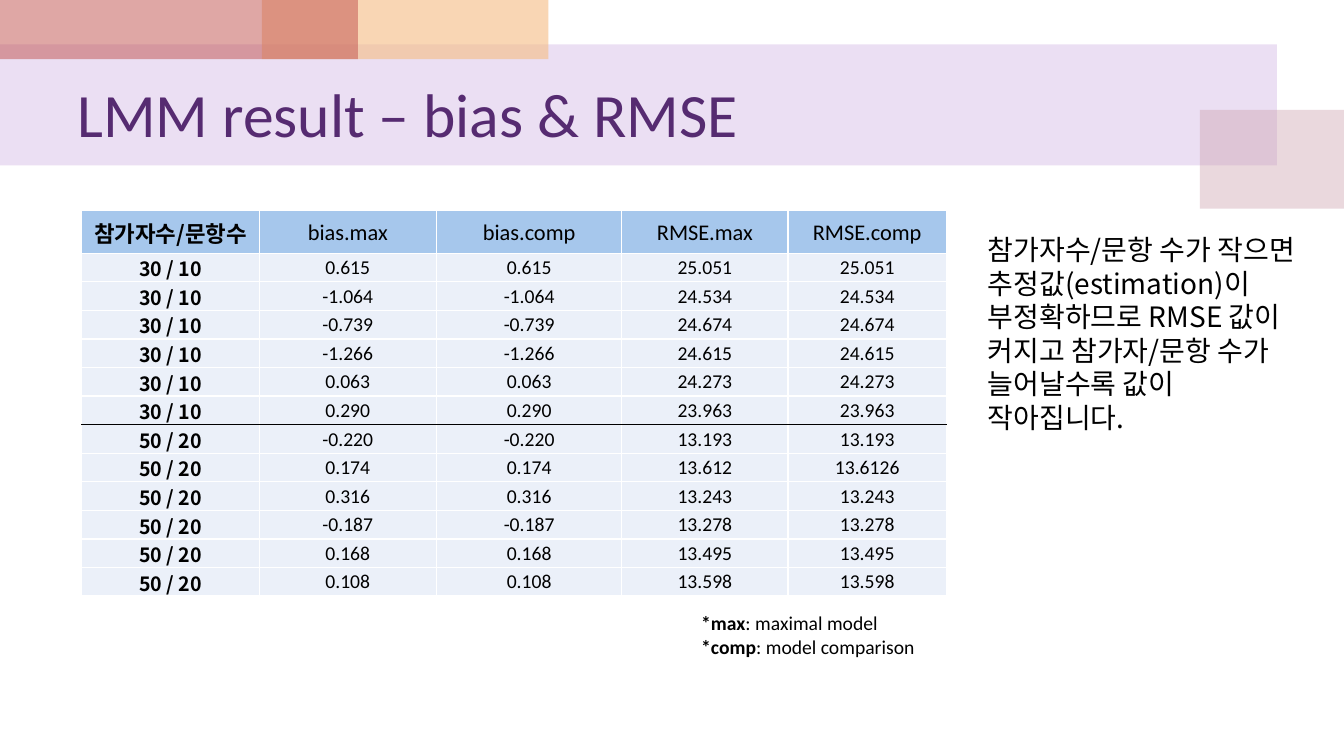
from lxml import etree
from pptx import Presentation
from pptx.dml.color import RGBColor
from pptx.enum import shapes, text
from pptx.oxml.ns import qn
from pptx.util import Cm, Pt

LATIN, KOREAN = "Calibri", "Noto Sans CJK KR"
COLOURS = {
    "band": "BF98D8", "rose": "CC9EAC", "orange": "F5BC83", "red": "C0504D",
    "title": "562B71", "text": "000000", "header": "A6C7EC", "body": "EBF0F9",
    "grid": "FFFFFF", "divider": "000000",
}
BLOCKS = [
    ("band", 30, (0, 1.12, 32.18, 3.05)),
    ("rose", 40, (30.24, 2.77, 3.63, 2.49)),
    ("orange", 60, (6.6, 0, 7.22, 1.49)),
    ("red", 50, (0, 0, 9.02, 1.49)),
]
TITLE = "LMM result – bias & RMSE"
HEADERS = ["참가자수/문항수", "bias.max", "bias.comp", "RMSE.max", "RMSE.comp"]
RESULTS = {
    "30 / 10": [
        ("0.615", "0.615", "25.051", "25.051"),
        ("-1.064", "-1.064", "24.534", "24.534"),
        ("-0.739", "-0.739", "24.674", "24.674"),
        ("-1.266", "-1.266", "24.615", "24.615"),
        ("0.063", "0.063", "24.273", "24.273"),
        ("0.290", "0.290", "23.963", "23.963"),
    ],
    "50 / 20": [
        ("-0.220", "-0.220", "13.193", "13.193"),
        ("0.174", "0.174", "13.612", "13.6126"),
        ("0.316", "0.316", "13.243", "13.243"),
        ("-0.187", "-0.187", "13.278", "13.278"),
        ("0.168", "0.168", "13.495", "13.495"),
        ("0.108", "0.108", "13.598", "13.598"),
    ],
}
COLUMN_WIDTHS = [4.47, 4.47, 4.67, 4.19, 3.99]
HEADER_HEIGHT, ROW_HEIGHT = 1.07, 0.72
LEGEND = [("*max", ": maximal model"), ("*comp", ": model comparison")]
COMMENT = ("참가자수/문항 수가 작으면 추정값(estimation)이 부정확하므로 RMSE 값이 "
           "커지고 참가자/문항 수가 늘어날수록 값이 작아집니다.")


def colour(name):
    return RGBColor.from_string(COLOURS[name])


def style(run, size, font=LATIN, bold=False, fill="text"):
    run.font.size, run.font.bold, run.font.name = Pt(size), bold, font
    run.font.color.rgb = colour(fill)
    etree.SubElement(run.font._element, qn("a:ea"), typeface=font)


def add_block(slide, name, opacity, box):
    shape = slide.shapes.add_shape(shapes.MSO_SHAPE.RECTANGLE, *map(Cm, box))
    shape.shadow.inherit = False
    shape.line.fill.background()
    shape.fill.solid()
    shape.fill.fore_color.rgb = colour(name)
    tint = shape._element.spPr.find(".//" + qn("a:srgbClr"))
    etree.SubElement(tint, qn("a:alpha"), val=str(opacity * 1000))


def add_text_frame(slide, *box):
    frame = slide.shapes.add_textbox(*map(Cm, box)).text_frame
    frame.word_wrap = True
    return frame


def set_borders(cell, top, bottom):
    properties = cell._tc.get_or_add_tcPr()
    sides = {"lnL": "grid", "lnR": "grid", "lnT": top, "lnB": bottom}
    for tag, name in sides.items():
        line = etree.SubElement(properties, qn("a:" + tag), w=str(Pt(1)))
        fill = etree.SubElement(line, qn("a:solidFill"))
        etree.SubElement(fill, qn("a:srgbClr"), val=COLOURS[name])


def add_results(slide):
    rows = [HEADERS] + [(label, *values) for label, group in RESULTS.items()
                        for values in group]
    divider_row = 1 + len(RESULTS["30 / 10"])
    heights = [HEADER_HEIGHT] + [ROW_HEIGHT] * (len(rows) - 1)
    table = slide.shapes.add_table(
        len(rows), len(HEADERS), Cm(2.06), Cm(5.31),
        Cm(sum(COLUMN_WIDTHS)), Cm(sum(heights))).table
    table.first_row = table.horz_banding = False
    for column, width in zip(table.columns, COLUMN_WIDTHS):
        column.width = Cm(width)
    for i, (row, height, values) in enumerate(zip(table.rows, heights, rows)):
        row.height = Cm(height)
        for j, (cell, value) in enumerate(zip(row.cells, values)):
            set_borders(cell,
                        "divider" if i == divider_row else "grid",
                        "divider" if i == divider_row - 1 else "grid")
            cell.fill.solid()
            cell.fill.fore_color.rgb = colour("body" if i else "header")
            cell.margin_left = cell.margin_right = cell.margin_top = Cm(0.02)
            cell.margin_bottom = 0
            cell.vertical_anchor = text.MSO_ANCHOR.MIDDLE
            cell.text_frame.text = value
            paragraph = cell.text_frame.paragraphs[0]
            paragraph.alignment = text.PP_ALIGN.CENTER
            style(paragraph.runs[0], 14 if i else 16,
                  LATIN if j else KOREAN, j == 0)


def main():
    presentation = Presentation()
    presentation.slide_width, presentation.slide_height = Cm(33.87), Cm(19.05)
    slide = presentation.slides.add_slide(presentation.slide_layouts[6])
    for block in BLOCKS:
        add_block(slide, *block)

    title = add_text_frame(slide, 1.7, 1.5, 30.48, 2.67)
    title.vertical_anchor = text.MSO_ANCHOR.MIDDLE
    title.text = TITLE
    style(title.paragraphs[0].runs[0], 44, fill="title")

    add_results(slide)

    legend = add_text_frame(slide, 17.42, 15.27, 6.53, 1.45)
    legend.text = "\n".join(term for term, _ in LEGEND)
    for paragraph, (_, meaning) in zip(legend.paragraphs, LEGEND):
        style(paragraph.runs[0], 14, bold=True)
        run = paragraph.add_run()
        run.text = meaning
        style(run, 14)

    comment = add_text_frame(slide, 24.64, 4.88, 8.33, 11.84)
    comment.margin_top = Cm(0.98)
    comment.text = COMMENT
    comment.paragraphs[0].line_spacing = Pt(24)
    style(comment.paragraphs[0].runs[0], 20, KOREAN)

    presentation.save("out.pptx")


if __name__ == "__main__":
    main()
